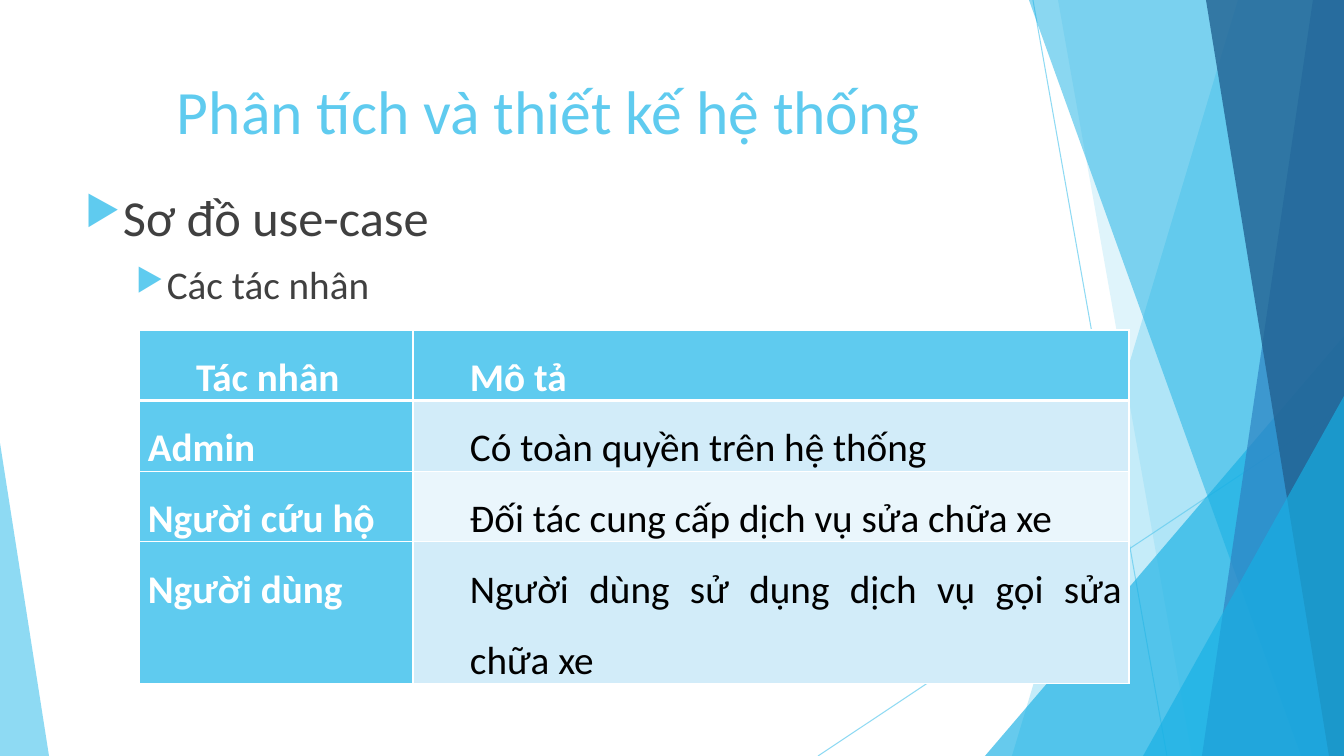
"""Build the slide on use-case actors with its faceted backdrop and actor table."""
from dataclasses import dataclass

import lxml.etree
import pptx
import pptx.dml.color
import pptx.enum.shapes
import pptx.enum.text
import pptx.oxml.ns
import pptx.shapes.base
import pptx.slide
import pptx.table
import pptx.text.text
import pptx.util

RGBColor = pptx.dml.color.RGBColor
qn = pptx.oxml.ns.qn

SLIDE_W, SLIDE_H = 1344, 756
EMU_PER_PX = 12192000 / SLIDE_W
FONT = "Calibri"

WHITE = RGBColor(0xFF, 0xFF, 0xFF)
BLACK = RGBColor(0x00, 0x00, 0x00)
GRAY = RGBColor(0x40, 0x40, 0x40)
SKY = RGBColor(0x5F, 0xCB, 0xEF)
CYAN = RGBColor(0x17, 0xB0, 0xE4)
BLUE = RGBColor(0x2E, 0x83, 0xC3)
NAVY = RGBColor(0x22, 0x62, 0x92)
BAND_DARK = RGBColor(0xD2, 0xEC, 0xF9)
BAND_LIGHT = RGBColor(0xEA, 0xF6, 0xFC)


@dataclass(frozen=True)
class Ray:
    start: tuple[int, int]
    end: tuple[int, int]


@dataclass(frozen=True)
class Panel:
    top_x: int
    bottom_x: int
    color: RGBColor
    opacity: int


@dataclass(frozen=True)
class Corner:
    left: int
    top: int
    width: int
    apex: float
    color: RGBColor
    opacity: int


@dataclass(frozen=True)
class Bullet:
    text: str
    level: int
    size: int
    margin: int
    hang: int


RAYS = [Ray((1033, 0), (1167, SLIDE_H)), Ray((SLIDE_W, 406), (818, SLIDE_H))]
FACETS = [
    Panel(1238, 1012, SKY, 36),
    Panel(1058, 1192, SKY, 20),
    Corner(985, 336, 359, 1, CYAN, 66),
    Panel(1029, 1301, CYAN, 50),
    Panel(1313, 1202, BLUE, 70),
    Panel(1206, 1329, NAVY, 80),
    Corner(1143, 396, 201, 1, CYAN, 66),
    Corner(0, 443, 49, 0, SKY, 70),
]
BULLETS = [Bullet("Sơ đồ use-case", 0, 36, 38, 38), Bullet("Các tác nhân", 1, 28, 82, 31)]
ACTORS = [
    ("Tác nhân", "Mô tả"),
    ("Admin", "Có toàn quyền trên hệ thống"),
    ("Người cứu hộ", "Đối tác cung cấp dịch vụ sửa chữa xe"),
    ("Người dùng", "Người dùng sử dụng dịch vụ gọi sửa chữa xe"),
]
COLUMN_WIDTHS = [274, 716]
ROW_HEIGHTS = [66, 66, 66, 132]


def px(length: float) -> pptx.util.Emu:
    return pptx.util.Emu(round(length * EMU_PER_PX))


def set_opacity(shape: pptx.shapes.base.BaseShape, percent: int) -> None:
    color = shape.element.spPr.find(".//" + qn("a:srgbClr"))
    lxml.etree.SubElement(color, qn("a:alpha"), val=str(percent * 1000))


def style_text(paragraph: pptx.text.text._Paragraph, size: int, color: RGBColor, bold: bool = False) -> None:
    paragraph.font.name = FONT
    paragraph.font.size = pptx.util.Pt(size)
    paragraph.font.bold = bold
    paragraph.font.color.rgb = color


def indent(paragraph: pptx.text.text._Paragraph, margin: int, hang: int = 0) -> None:
    properties = paragraph._p.get_or_add_pPr()
    properties.set("marL", str(px(margin)))
    properties.set("indent", str(px(-hang)))


def draw_ray(slide: pptx.slide.Slide, ray: Ray) -> None:
    line = slide.shapes.add_connector(
        pptx.enum.shapes.MSO_CONNECTOR.STRAIGHT, *map(px, ray.start + ray.end))
    line.line.color.rgb = SKY
    line.line.width = pptx.util.Pt(0.75)
    set_opacity(line, 70)
    lxml.etree.SubElement(line.element.spPr, qn("a:effectLst"))


def draw_facet(slide: pptx.slide.Slide, facet: Panel | Corner) -> None:
    if isinstance(facet, Panel):
        outline = slide.shapes.build_freeform(facet.top_x, 0, scale=EMU_PER_PX)
        outline.add_line_segments([(SLIDE_W, 0), (SLIDE_W, SLIDE_H), (facet.bottom_x, SLIDE_H)])
        shape = outline.convert_to_shape()
    else:
        shape = slide.shapes.add_shape(
            pptx.enum.shapes.MSO_SHAPE.ISOSCELES_TRIANGLE,
            px(facet.left), px(facet.top), px(facet.width), px(SLIDE_H - facet.top))
        shape.adjustments[0] = facet.apex
    shape.shadow.inherit = False
    shape.fill.solid()
    shape.fill.fore_color.rgb = facet.color
    set_opacity(shape, facet.opacity)
    shape.line.fill.background()


def place_title(slide: pptx.slide.Slide) -> None:
    title = slide.shapes.title
    title.element.getparent().append(title.element)
    title.left, title.top, title.width, title.height = map(px, (75, 68, 948, 145))
    frame = title.text_frame
    frame.text = "Phân tích và thiết kế hệ thống"
    frame.auto_size = pptx.enum.text.MSO_AUTO_SIZE.NONE
    frame.vertical_anchor = pptx.enum.text.MSO_ANCHOR.TOP
    frame.paragraphs[0].alignment = pptx.enum.text.PP_ALIGN.CENTER
    style_text(frame.paragraphs[0], 44, SKY)


def draw_bullets(slide: pptx.slide.Slide) -> None:
    frame = slide.shapes.add_textbox(*map(px, (75, 181, 990, 480))).text_frame
    frame.word_wrap = True
    for index, bullet in enumerate(BULLETS):
        paragraph = frame.add_paragraph() if index else frame.paragraphs[0]
        paragraph.text = bullet.text
        paragraph.level = bullet.level
        paragraph.space_before = pptx.util.Pt(10)
        indent(paragraph, bullet.margin, bullet.hang)
        properties = paragraph._p.get_or_add_pPr()
        marker_color = lxml.etree.SubElement(properties, qn("a:buClr"))
        lxml.etree.SubElement(marker_color, qn("a:srgbClr"), val=str(SKY))
        lxml.etree.SubElement(properties, qn("a:buSzPct"), val="80000")
        lxml.etree.SubElement(properties, qn("a:buChar"), char="▶")
        style_text(paragraph, bullet.size, GRAY)


def set_borders(cell: pptx.table._Cell, row: int) -> None:
    widths = {"lnL": 1, "lnR": 1, "lnT": 3 if row == 1 else 1, "lnB": 3 if row == 0 else 1}
    for side, width in widths.items():
        border = lxml.etree.SubElement(
            cell._tc.get_or_add_tcPr(), qn(f"a:{side}"), w=str(pptx.util.Pt(width)))
        fill = lxml.etree.SubElement(border, qn("a:solidFill"))
        lxml.etree.SubElement(fill, qn("a:srgbClr"), val=str(WHITE))


def fill_cell(cell: pptx.table._Cell, text: str, row: int, column: int) -> None:
    heading = row == 0 or column == 0
    set_borders(cell, row)
    cell.fill.solid()
    cell.fill.fore_color.rgb = SKY if heading else BAND_DARK if row % 2 else BAND_LIGHT
    cell.margin_left = cell.margin_right = px(7)
    cell.margin_top = cell.margin_bottom = 0
    cell.text = text
    paragraph = cell.text_frame.paragraphs[0]
    paragraph.alignment = pptx.enum.text.PP_ALIGN.JUSTIFY
    paragraph.line_spacing = 1.5
    paragraph.space_before = paragraph.space_after = pptx.util.Pt(3.6)
    indent(paragraph, 2 if row and column == 0 else 50)
    style_text(paragraph, 28, WHITE if heading else BLACK, heading)


def draw_actors(slide: pptx.slide.Slide) -> None:
    actors = slide.shapes.add_table(
        len(ACTORS), len(COLUMN_WIDTHS), px(139), px(330),
        px(sum(COLUMN_WIDTHS)), px(sum(ROW_HEIGHTS))).table
    actors.horz_banding = False
    for column, width in zip(actors.columns, COLUMN_WIDTHS):
        column.width = px(width)
    for row, height in zip(actors.rows, ROW_HEIGHTS):
        row.height = px(height)
    for row, texts in enumerate(ACTORS):
        for column, text in enumerate(texts):
            fill_cell(actors.cell(row, column), text, row, column)


def main() -> None:
    deck = pptx.Presentation()
    deck.slide_width, deck.slide_height = px(SLIDE_W), px(SLIDE_H)
    slide = deck.slides.add_slide(deck.slide_layouts[5])
    for ray in RAYS:
        draw_ray(slide, ray)
    for facet in FACETS:
        draw_facet(slide, facet)
    place_title(slide)
    draw_bullets(slide)
    draw_actors(slide)
    deck.save("out.pptx")


if __name__ == "__main__":
    main()
